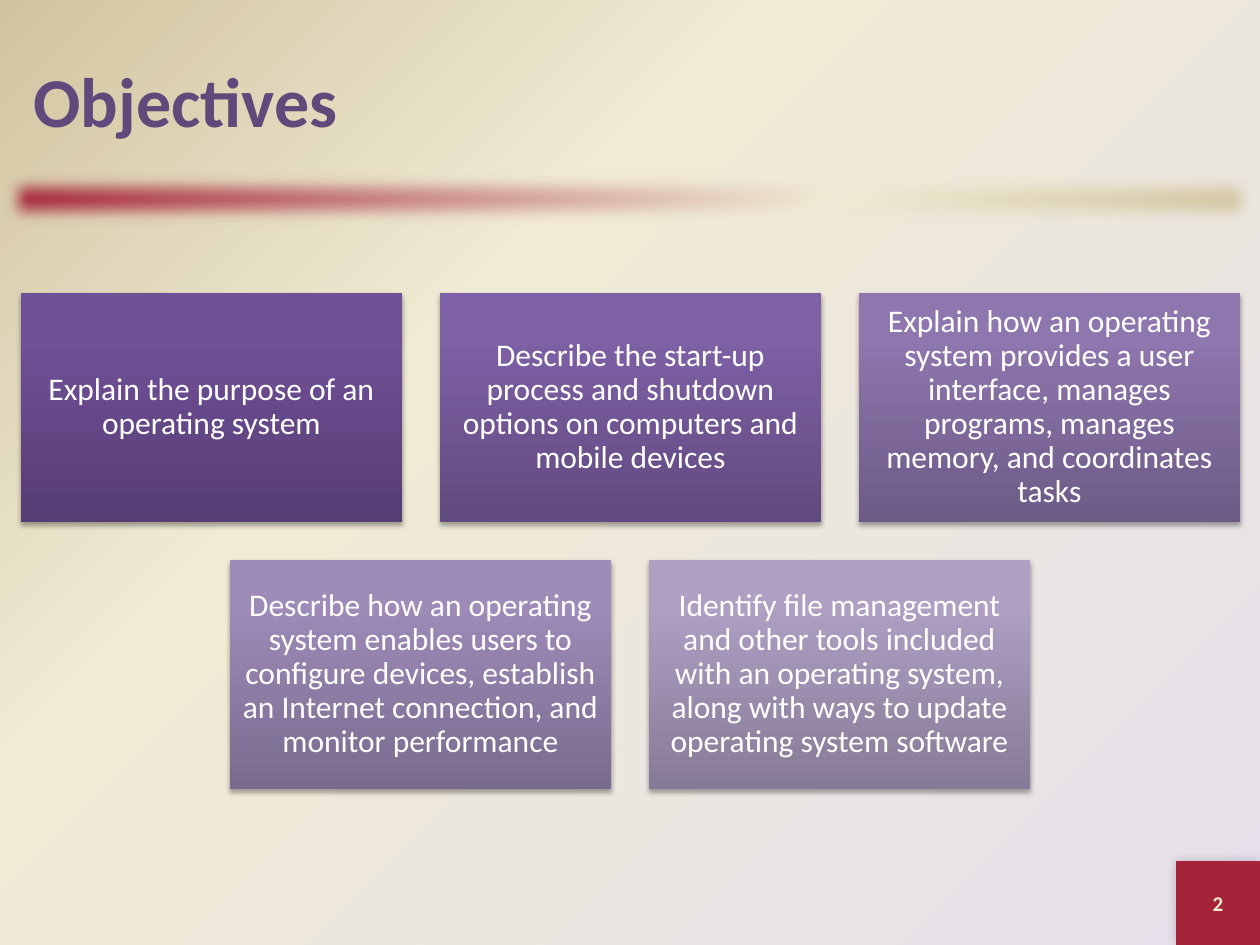
from lxml.etree import SubElement
from pptx import Presentation
from pptx.dml.color import RGBColor
from pptx.enum.shapes import MSO_SHAPE
from pptx.enum.text import MSO_ANCHOR, MSO_AUTO_SIZE, PP_ALIGN
from pptx.oxml.ns import qn
from pptx.util import Emu, Pt

COLORS = {
    "title": "604A7B",
    "red": "A52439",
    "cream": "F0EBD5",
    "tan": "D1C39F",
    "lavender": "E6E0EC",
    "number": "EEEBCA",
    "white": "FFFFFF",
    "black": "000000",
}
PAGE_WIDTH, PAGE_HEIGHT = 1260, 945
CARD_WIDTH, CARD_HEIGHT, CARD_GAP, CARDS_TOP = 381, 229, 38, 293
CARD_ROWS = [
    [
        ("Explain the purpose of an operating system",
         ("563D74", "705097", "704F99")),
        ("Describe the start-up process and shutdown options on computers and mobile devices",
         ("614A7F", "7E60A5", "7F60A7")),
        ("Explain how an operating system provides a user interface, manages programs, "
         "manages memory, and coordinates tasks",
         ("6D5B86", "8E76AE", "8E75B0")),
    ],
    [
        ("Describe how an operating system enables users to configure devices, establish "
         "an Internet connection, and monitor performance",
         ("796B8E", "9E8BB8", "9E8BBA")),
        ("Identify file management and other tools included with an operating system, "
         "along with ways to update operating system software",
         ("867B96", "AE9FC3", "AE9FC4")),
    ],
]


def px(length):
    return Emu(round(length * 914400 / 126))


class SlideBuilder:
    """Draws the elements of one slide in a shared style."""

    font_name = "Calibri"

    def __init__(self, deck):
        self.page = deck.slides.add_slide(deck.slide_layouts[5])

    def gradient(self, fill, element, stops, angle):
        fill.gradient()
        fill.gradient_angle = angle
        stop_list = next(element.iter(qn("a:gsLst")))
        for stop in list(stop_list):
            stop_list.remove(stop)
        for position, color in stops:
            stop = SubElement(stop_list, qn("a:gs"), pos=str(position * 1000))
            SubElement(stop, qn("a:srgbClr"), val=color)

    def background(self, stops, angle):
        self.gradient(self.page.background.fill, self.page.element, stops, angle)

    def rectangle(self, left, top, width, height):
        box = self.page.shapes.add_shape(
            MSO_SHAPE.RECTANGLE, px(left), px(top), px(width), px(height))
        box.line.fill.background()
        box.shadow.inherit = False
        return box

    def effect(self, box, kind, **values):
        effects = next(box.element.iter(qn("a:effectLst")))
        return SubElement(effects, qn(kind), **{key: str(value) for key, value in values.items()})

    def shadow(self, box, opacity, blur, distance, direction):
        shadow = self.effect(box, "a:outerShdw", blurRad=Pt(blur), dist=Pt(distance),
                             dir=direction * 60000, rotWithShape=0)
        color = SubElement(shadow, qn("a:srgbClr"), val=COLORS["black"])
        SubElement(color, qn("a:alpha"), val=str(opacity * 1000))

    def add_text(self, box, text, size, color, bold=False, align=PP_ALIGN.CENTER, spacing=1.0):
        frame = box.text_frame
        frame.word_wrap = True
        frame.auto_size = MSO_AUTO_SIZE.NONE
        frame.vertical_anchor = MSO_ANCHOR.MIDDLE
        para = frame.paragraphs[0]
        para.alignment = align
        para.line_spacing = spacing
        span = para.add_run()
        span.text = text
        span.font.name = self.font_name
        span.font.size = Pt(size)
        span.font.bold = bold
        span.font.color.rgb = RGBColor.from_string(COLORS[color])

    def title(self, text, left, top, width, height):
        box = self.page.shapes.title
        box.left, box.top, box.width, box.height = map(px, (left, top, width, height))
        self.add_text(box, text, 40, "title", bold=True, align=PP_ALIGN.LEFT)

    def soft_bar(self, left, top, width, height, stops):
        box = self.rectangle(left, top, width, height)
        self.gradient(box.fill, box.element, stops, 315)
        self.effect(box, "a:softEdge", rad=Pt(10))

    def page_number(self, text, left, top, size):
        box = self.rectangle(left, top, size, size)
        box.fill.solid()
        box.fill.fore_color.rgb = RGBColor.from_string(COLORS["red"])
        self.shadow(box, 20, 6, 0, 225)
        self.add_text(box, text, 12, "number", bold=True)

    def card(self, text, shades, left, top):
        box = self.rectangle(left, top, CARD_WIDTH, CARD_HEIGHT)
        self.gradient(box.fill, box.element, zip((0, 80, 100), shades), 90)
        self.shadow(box, 35, 3.1, 1.8, 90)
        frame = box.text_frame
        frame.margin_left = frame.margin_right = px(9)
        frame.margin_top = frame.margin_bottom = px(9)
        self.add_text(box, text, 18, "white", spacing=0.9)


def main():
    deck = Presentation()
    deck.slide_width, deck.slide_height = px(PAGE_WIDTH), px(PAGE_HEIGHT)
    slide = SlideBuilder(deck)
    slide.background(
        [(0, COLORS["tan"]), (35, COLORS["cream"]), (100, COLORS["lavender"])], 315)
    slide.soft_bar(0, 168, PAGE_WIDTH, 63, [
        (0, COLORS["red"]), (65, COLORS["cream"]), (100, COLORS["tan"])])
    slide.page_number("2", PAGE_WIDTH - 84, PAGE_HEIGHT - 84, 84)
    slide.title("Objectives", 21, 21, 1218, 158)
    pitch = CARD_WIDTH + CARD_GAP
    for row, cards in enumerate(CARD_ROWS):
        row_width = len(cards) * pitch - CARD_GAP
        row_left = (PAGE_WIDTH - row_width + 1) // 2
        row_top = CARDS_TOP + row * (CARD_HEIGHT + CARD_GAP)
        for column, (text, shades) in enumerate(cards):
            slide.card(text, shades, row_left + column * pitch, row_top)
    deck.save("out.pptx")


if __name__ == "__main__":
    main()
